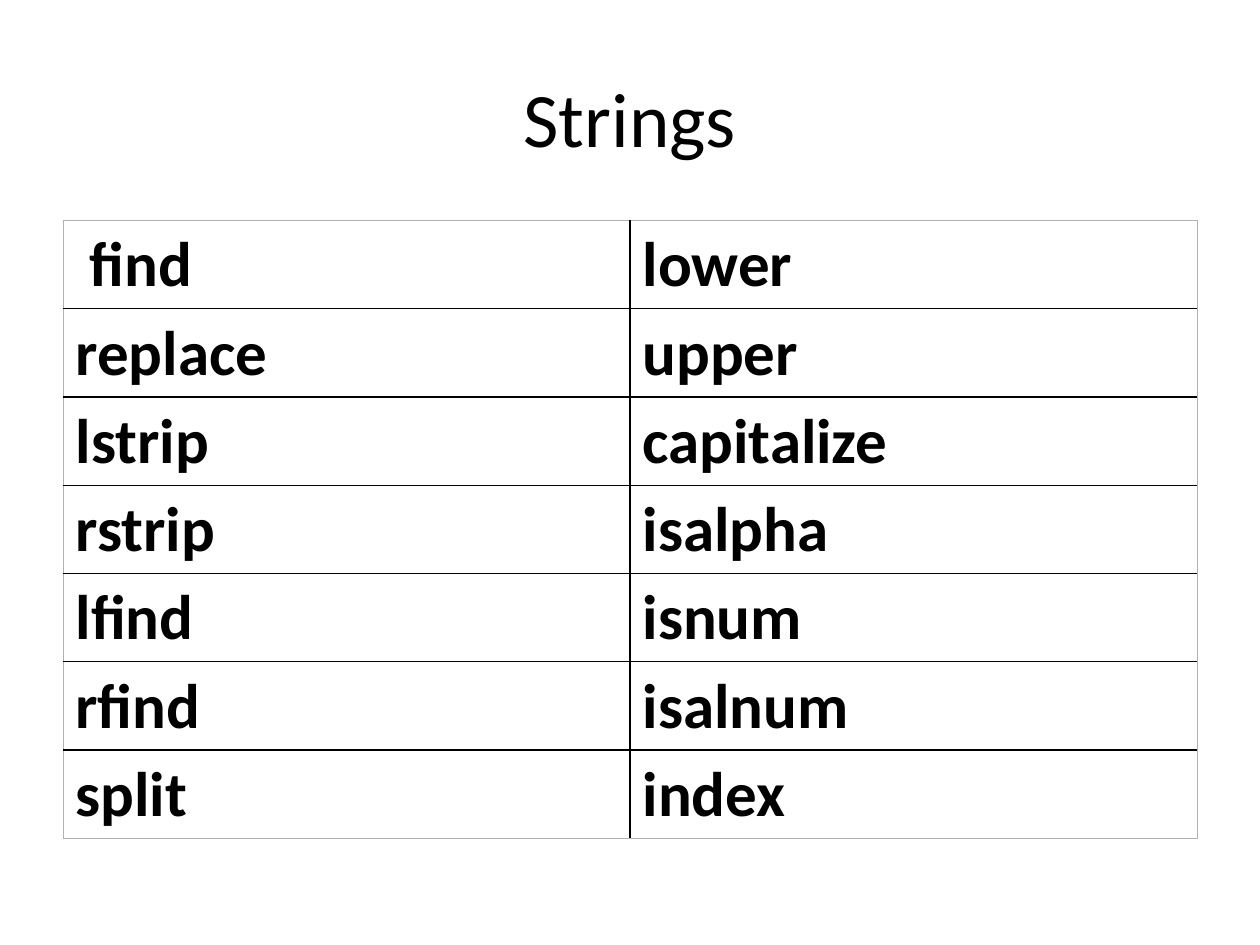
from dataclasses import dataclass

from lxml.etree import SubElement
from pptx import Presentation
from pptx.dml.color import RGBColor
from pptx.enum.text import MSO_ANCHOR, PP_ALIGN
from pptx.oxml.ns import qn
from pptx.util import Inches, Pt


@dataclass(frozen=True)
class Theme:
    font: str = "Calibri"
    ink: str = "000000"
    paper: str = "FFFFFF"
    frame: str = "B2B2B2"
    title_size: int = 44
    method_size: int = 36
    rule_width: float = 1
    frame_width: float = 0.5


THEME = Theme()
SLIDE_WIDTH, SLIDE_HEIGHT = Inches(10), Inches(7.5)
TITLE_BOX = (0.05, 0.04, 0.9, 1 / 6)
METHODS_BOX = (0.05, 7 / 30, 0.9, 49 / 75)
METHODS = [
    (" find", "lower"),
    ("replace", "upper"),
    ("lstrip", "capitalize"),
    ("rstrip", "isalpha"),
    ("lfind", "isnum"),
    ("rfind", "isalnum"),
    ("split", "index"),
]


def place(box):
    left, top, width, height = box
    return (round(left * SLIDE_WIDTH), round(top * SLIDE_HEIGHT),
            round(width * SLIDE_WIDTH), round(height * SLIDE_HEIGHT))


def write(frame, text, *, size, bold=False, align=PP_ALIGN.LEFT):
    paragraph = frame.paragraphs[0]
    paragraph.alignment = align
    run = paragraph.add_run()
    run.text = text
    run.font.name = THEME.font
    run.font.size = Pt(size)
    run.font.bold = bold
    run.font.color.rgb = RGBColor.from_string(THEME.ink)


def rule_cell(cell, outer_sides):
    properties = cell._tc.get_or_add_tcPr()
    for side in "LRTB":
        outer = side in outer_sides
        width = THEME.frame_width if outer else THEME.rule_width
        rule = SubElement(properties, qn(f"a:ln{side}"), w=str(Pt(width)))
        color = SubElement(rule, qn("a:solidFill"))
        SubElement(color, qn("a:srgbClr"), val=THEME.frame if outer else THEME.ink)


def add_title(slide, box, text):
    heading = slide.shapes.add_textbox(*place(box)).text_frame
    heading.word_wrap = True
    heading.vertical_anchor = MSO_ANCHOR.MIDDLE
    write(heading, text, size=THEME.title_size, align=PP_ALIGN.CENTER)


def add_methods(slide, box, methods):
    last_row, last_column = len(methods) - 1, len(methods[0]) - 1
    grid = slide.shapes.add_table(last_row + 1, last_column + 1, *place(box)).table
    grid.first_row = grid.horz_banding = False
    for row, names in enumerate(methods):
        for column, name in enumerate(names):
            cell = grid.cell(row, column)
            edges = {"L": column == 0, "R": column == last_column,
                     "T": row == 0, "B": row == last_row}
            rule_cell(cell, {side for side, outer in edges.items() if outer})
            cell.fill.solid()
            cell.fill.fore_color.rgb = RGBColor.from_string(THEME.paper)
            write(cell.text_frame, name, size=THEME.method_size, bold=True)


def build():
    deck = Presentation()
    deck.slide_width, deck.slide_height = SLIDE_WIDTH, SLIDE_HEIGHT
    slide = deck.slides.add_slide(deck.slide_layouts[6])
    add_title(slide, TITLE_BOX, "Strings")
    add_methods(slide, METHODS_BOX, METHODS)
    deck.save("out.pptx")


build()
